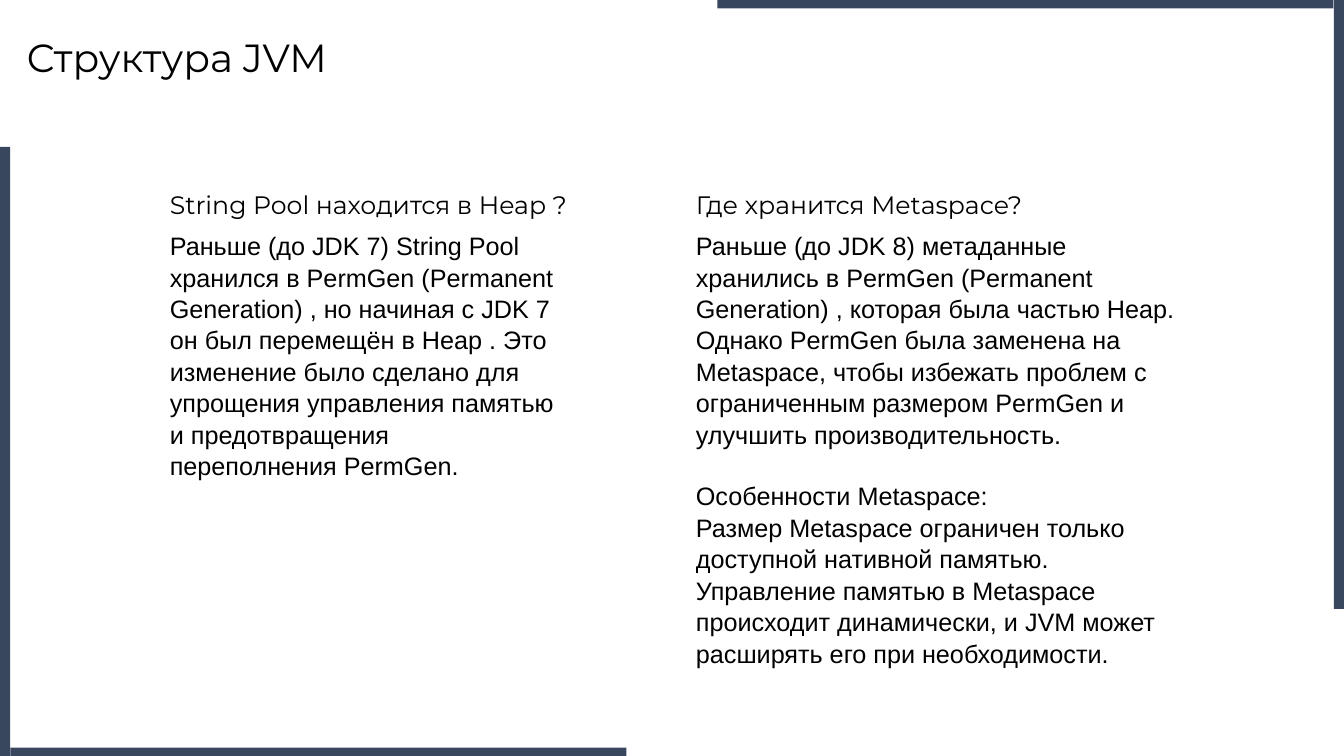
from pptx import Presentation
from pptx.dml.color import RGBColor
from pptx.enum.shapes import MSO_SHAPE
from pptx.enum.text import MSO_ANCHOR, PP_ALIGN
from pptx.util import Pt

SLIDE_WIDTH, SLIDE_HEIGHT = 960, 540
BLACK = RGBColor(0x00, 0x00, 0x00)
SLATE = RGBColor(0x38, 0x47, 0x5E)
HEADING_FONT, BODY_FONT = "Montserrat", "Arial"
LINE_HEIGHT = 21.6
BAR_LENGTH, BAR_THICKNESS = 440, 11.5

STRING_POOL = [
    "Раньше (до JDK 7) String Pool хранился в PermGen (Permanent Generation) , "
    "но начиная с JDK 7 он был перемещён в Heap . Это изменение было сделано для "
    "упрощения управления памятью и предотвращения переполнения PermGen.",
]
METASPACE = [
    "Раньше (до JDK 8) метаданные хранились в PermGen (Permanent Generation) , "
    "которая была частью Heap. Однако PermGen была заменена на Metaspace, чтобы "
    "избежать проблем с ограниченным размером PermGen и улучшить производительность.",
    "Особенности Metaspace:",
    "Размер Metaspace ограничен только доступной нативной памятью.",
    "Управление памятью в Metaspace происходит динамически, "
    "и JVM может расширять его при необходимости.",
]


def fill_text(shape, lines, font_name, size):
    frame = shape.text_frame
    frame.word_wrap = True
    frame.vertical_anchor = MSO_ANCHOR.TOP
    frame.text = "\n".join(lines)
    for paragraph in frame.paragraphs:
        paragraph.alignment = PP_ALIGN.LEFT
        for run in paragraph.runs:
            run.font.name = font_name
            run.font.size = Pt(size)
            run.font.color.rgb = BLACK
    return frame


def place_title(slide, left, top, width, height):
    title = slide.shapes.title
    title.left, title.top = Pt(left), Pt(top)
    title.width, title.height = Pt(width), Pt(height)
    fill_text(title, ["Структура JVM"], HEADING_FONT, 28)


def add_question(slide, left, top, body_width, body_height, question, answer):
    """Place a question and, right below it, the paragraphs of its answer."""
    heading = slide.shapes.add_textbox(Pt(left), Pt(top), Pt(348), Pt(28.8))
    fill_text(heading, [question], HEADING_FONT, 18)
    body = slide.shapes.add_textbox(
        Pt(left), Pt(top + 28.5), Pt(body_width), Pt(body_height))
    frame = fill_text(body, answer, BODY_FONT, 18)
    for index, paragraph in enumerate(frame.paragraphs):
        paragraph.line_spacing = 1.04
        if index == 1:
            paragraph.space_before = Pt(LINE_HEIGHT)


def add_bar(slide, left, top, width, height):
    bar = slide.shapes.add_shape(
        MSO_SHAPE.RECTANGLE, Pt(left), Pt(top), Pt(width), Pt(height))
    bar.shadow.inherit = False
    bar.fill.solid()
    bar.fill.fore_color.rgb = SLATE
    bar.line.fill.background()


def add_corner_frame(slide, width, height):
    """Draw an L of two bars at bottom left and its half-turn at top right."""
    upright = (-4.25, 105, BAR_THICKNESS, BAR_LENGTH)
    flat = (7.5, height - 6, BAR_LENGTH, BAR_THICKNESS)
    for left, top, bar_width, bar_height in (upright, flat):
        add_bar(slide, left, top, bar_width, bar_height)
        add_bar(slide, width - left - bar_width, height - top - bar_height,
                bar_width, bar_height)


def build_slide(presentation):
    slide = presentation.slides.add_slide(presentation.slide_layouts[5])
    place_title(slide, 11.75, 20.25, 480, 41)
    add_question(slide, 114.25, 131.75, 289, 181.5,
                 "String Pool находится в Heap ?", STRING_POOL)
    add_question(slide, 490, 131.75, 363.5, 312.5,
                 "Где хранится Metaspace?", METASPACE)
    add_corner_frame(slide, SLIDE_WIDTH, SLIDE_HEIGHT)


def main():
    presentation = Presentation()
    presentation.slide_width = Pt(SLIDE_WIDTH)
    presentation.slide_height = Pt(SLIDE_HEIGHT)
    build_slide(presentation)
    presentation.save("out.pptx")


if __name__ == "__main__":
    main()
